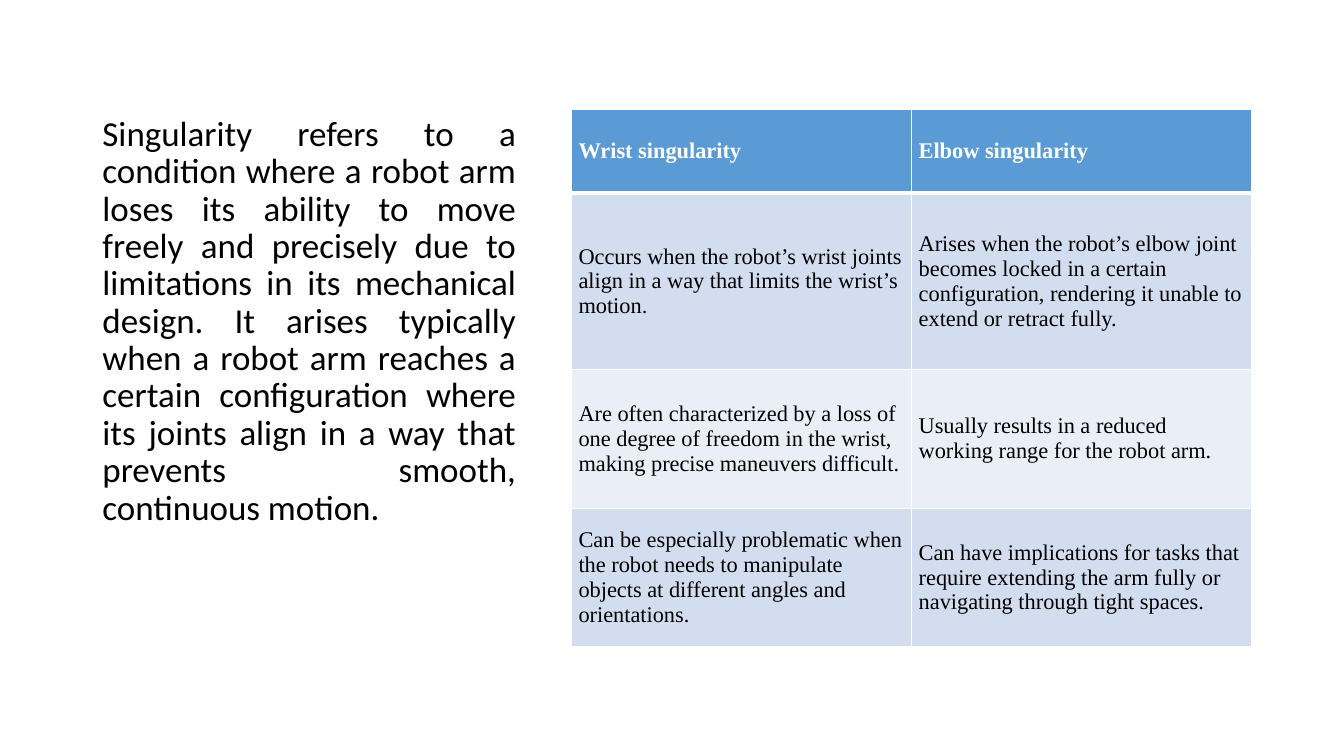
from dataclasses import dataclass

from lxml.etree import SubElement
from pptx import Presentation
from pptx.dml.color import RGBColor
from pptx.enum.text import MSO_ANCHOR, MSO_AUTO_SIZE, PP_ALIGN
from pptx.oxml import parse_xml
from pptx.oxml.ns import nsdecls, qn
from pptx.util import Pt

PX = 9525


@dataclass(frozen=True)
class Theme:
    body_font: str = "Calibri"
    grid_font: str = "Times New Roman"
    body_size: int = 25
    grid_size: int = 16
    ink: str = "000000"
    white: str = "FFFFFF"
    head: str = "5B9BD5"
    bands: tuple = ("D2DEEF", "EAEFF7")
    rule: int = 1
    thick: int = 3


class Deck:
    def __init__(self, theme):
        self.theme = theme
        self.show = Presentation()
        self.show.slide_width = 1280 * PX
        self.show.slide_height = 720 * PX
        self.slide = self.show.slides.add_slide(self.show.slide_layouts[1])
        title = self.slide.shapes.title.element
        title.getparent().remove(title)

    def style(self, font, name, size, color, bold=False):
        font.name = name
        font.size = Pt(size)
        font.bold = bold
        font.color.rgb = RGBColor.from_string(color)

    def body(self, text, left, top, width, height):
        box = self.slide.placeholders[1]
        box.left, box.top = left * PX, top * PX
        box.width, box.height = width * PX, height * PX
        frame = box.text_frame
        frame.text = text
        frame.word_wrap = True
        frame.auto_size = MSO_AUTO_SIZE.NONE
        frame.vertical_anchor = MSO_ANCHOR.TOP
        para = frame.paragraphs[0]
        para.alignment = PP_ALIGN.JUSTIFY
        para.line_spacing = 0.89
        para.space_before = Pt(0)
        props = para._p.get_or_add_pPr()
        props.set("marL", "0")
        props.set("indent", "0")
        SubElement(props, qn("a:buNone"))
        theme = self.theme
        self.style(para.runs[0].font, theme.body_font, theme.body_size, theme.ink)

    def border(self, cell, row):
        theme = self.theme
        top = theme.thick if row == 1 else theme.rule
        base = theme.thick if row == 0 else theme.rule
        sides = {"L": theme.rule, "R": theme.rule, "T": top, "B": base}
        props = cell._tc.get_or_add_tcPr()
        for spot, (side, width) in enumerate(sides.items()):
            line = parse_xml(
                f'<a:ln{side} {nsdecls("a")} w="{Pt(width)}"><a:solidFill>'
                f'<a:srgbClr val="{theme.white}"/></a:solidFill></a:ln{side}>'
            )
            props.insert(spot, line)

    def cell(self, cell, text, row):
        theme = self.theme
        first = row == 0
        cell.text = text
        cell.vertical_anchor = MSO_ANCHOR.MIDDLE
        cell.margin_left = cell.margin_right = 7 * PX
        cell.margin_top = cell.margin_bottom = 7 * PX
        fill = theme.head if first else theme.bands[(row - 1) % 2]
        cell.fill.solid()
        cell.fill.fore_color.rgb = RGBColor.from_string(fill)
        self.border(cell, row)
        color = theme.white if first else theme.ink
        font = cell.text_frame.paragraphs[0].runs[0].font
        self.style(font, theme.grid_font, theme.grid_size, color, first)

    def table(self, rows, left, top, widths, heights):
        frame = self.slide.shapes.add_table(
            len(heights), len(widths), left * PX, top * PX,
            sum(widths) * PX, sum(heights) * PX,
        )
        grid = frame.table
        for column, width in zip(grid.columns, widths):
            column.width = width * PX
        for index, (texts, height) in enumerate(zip(rows, heights)):
            grid.rows[index].height = height * PX
            for column, text in enumerate(texts):
                self.cell(grid.cell(index, column), text, index)


INTRO = (
    "Singularity refers to a condition where a robot arm loses its ability to "
    "move freely and precisely due to limitations in its mechanical design. "
    "It arises typically when a robot arm reaches a certain configuration "
    "where its joints align in a way that prevents smooth, continuous motion."
)

ROWS = [
    ("Wrist singularity", "Elbow singularity"),
    (
        "Occurs when the robot’s wrist joints align in a way that limits "
        "the wrist’s motion.",
        "Arises when the robot’s elbow joint becomes locked in a certain "
        "configuration, rendering it unable to extend or retract fully.",
    ),
    (
        "Are often characterized by a loss of one degree of freedom in the "
        "wrist, making precise maneuvers difficult.",
        "Usually results in a reduced working range for the robot arm.",
    ),
    (
        "Can be especially problematic when the robot needs to manipulate "
        "objects at different angles and orientations.",
        "Can have implications for tasks that require extending the arm fully "
        "or navigating through tight spaces.",
    ),
]


def main():
    deck = Deck(Theme())
    deck.table(ROWS, 544, 104, [324, 324], [80, 168, 132, 132])
    deck.body(INTRO, 88, 106, 413, 510)
    deck.show.save("out.pptx")


if __name__ == "__main__":
    main()
